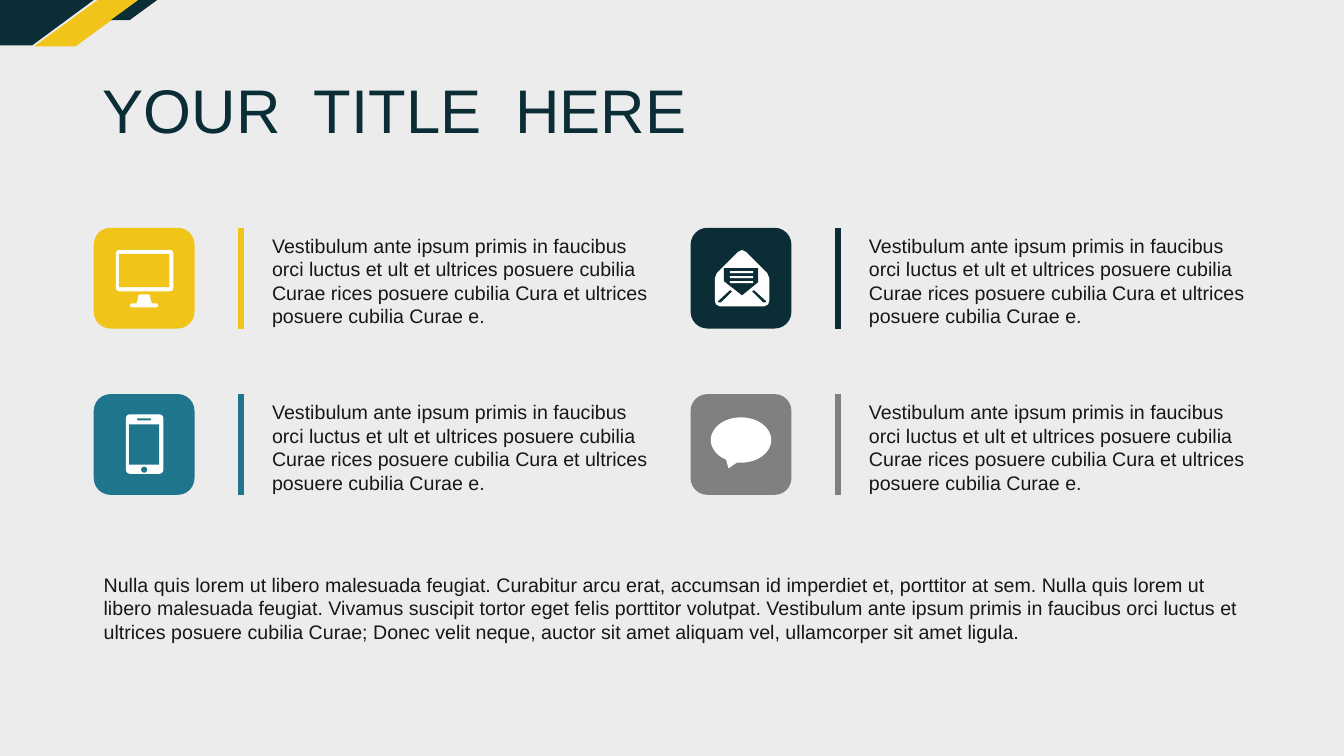
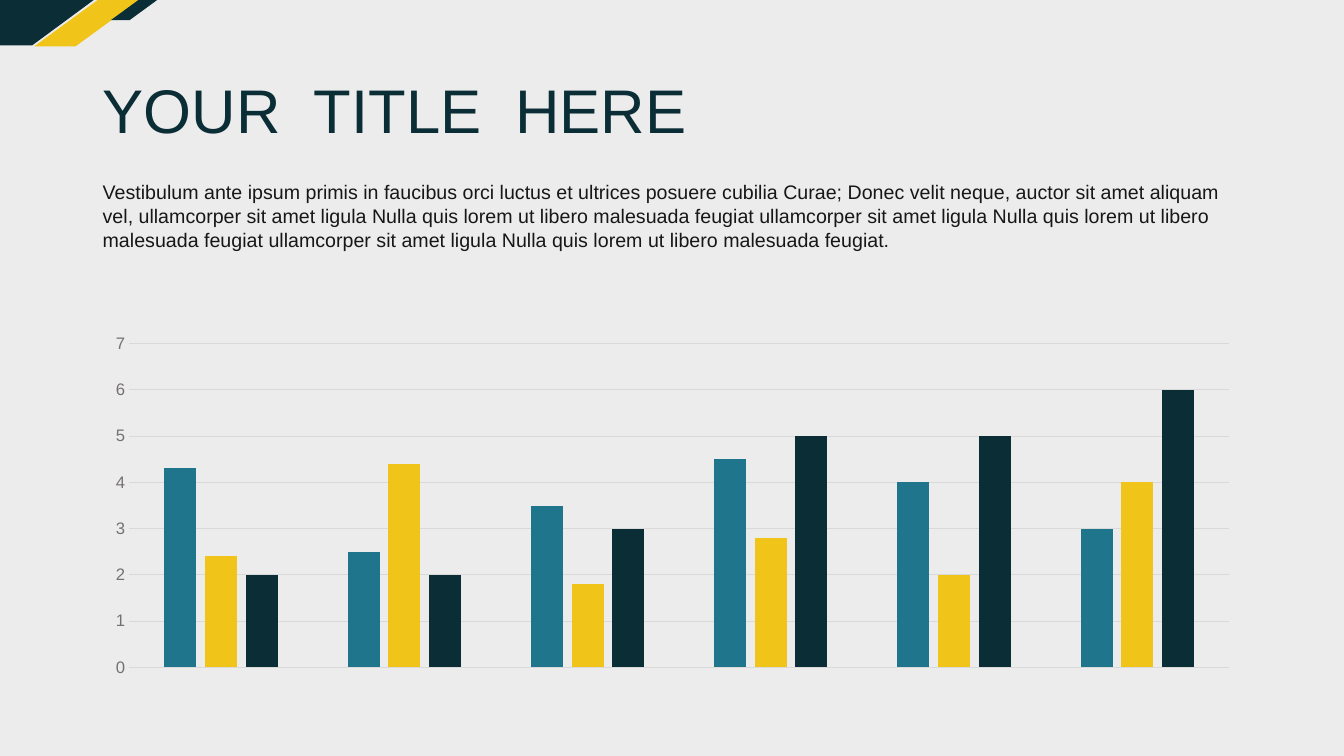
from pptx import Presentation
from pptx import util as u
from pptx.chart.data import CategoryChartData
from pptx.dml.color import RGBColor
from pptx.enum import chart as charts, shapes, text
from pptx.oxml.ns import qn
from lxml import etree

Inches, Pt = u.Inches, u.Pt
KIND = shapes.MSO_SHAPE
FONT = "Arial"
COLORS = {
    "background": "ECECEC",
    "navy": "0B2D36",
    "yellow": "F0C419",
    "teal": "1F758C",
    "gray": "808080",
    "white": "FFFFFF",
    "body": "181717",
    "axis": "767171",
    "grid": "D9D9D9",
}
RGB = {name: RGBColor.from_string(value) for name, value in COLORS.items()}


def add_solid(slide, outline, box, color, adjustment=None):
    """Add a borderless shape; outline is a preset, or a list of points offset by box."""
    if isinstance(outline, list):
        points = [(Inches(box[0] + x), Inches(box[1] + y)) for x, y in outline]
        builder = slide.shapes.build_freeform(*points[0])
        builder.add_line_segments(points[1:], close=True)
        shape = builder.convert_to_shape()
    else:
        shape = slide.shapes.add_shape(outline, *map(Inches, box))
    if adjustment is not None:
        shape.adjustments[0] = adjustment
    shape.shadow.inherit = False
    shape.fill.solid()
    shape.fill.fore_color.rgb = RGB[color]
    shape.line.fill.background()
    return shape


def write(shape, words, size, color):
    frame = shape.text_frame
    frame.word_wrap = True
    paragraph = frame.paragraphs[0]
    paragraph.alignment = text.PP_ALIGN.LEFT
    run = paragraph.add_run()
    run.text = words
    run.font.name, run.font.size = FONT, Pt(size)
    run.font.color.rgb = RGB[color]
    return frame


presentation = Presentation()
presentation.slide_width = Inches(13.33)
presentation.slide_height = Inches(7.5)
layout = presentation.slide_layouts[5]
fill = presentation.slide_master.background.fill
fill.solid()
fill.fore_color.rgb = RGB["background"]

icon_slide, chart_slide = [presentation.slides.add_slide(layout) for _ in range(2)]

# Corner bands: drawn once, then moved to the shared layout
for outline, box, color, slant in [
    (KIND.PARALLELOGRAM, (0.34, 0, 1.04, 0.46), "yellow", 1.37),
    (KIND.PARALLELOGRAM, (1.1, 0, 0.46, 0.2), "navy", 1.37),
    ([(0, 0), (0.93, 0), (0.32, 0.45), (0, 0.45)], (0, 0), "navy", None),
]:
    band = add_solid(icon_slide, outline, box, color, slant)
    layout.shapes.element.append(band.element)

# Titles and long paragraphs
for slide, top, words in [
    (icon_slide, 5.63,
     "Nulla quis lorem ut libero malesuada feugiat. Curabitur arcu erat, accumsan id "
     "imperdiet et, porttitor at sem. Nulla quis lorem ut libero malesuada feugiat. "
     "Vivamus suscipit tortor eget felis porttitor volutpat. Vestibulum ante ipsum primis "
     "in faucibus orci luctus et ultrices posuere cubilia Curae; Donec velit neque, auctor "
     "sit amet aliquam vel, ullamcorper sit amet ligula."),
    (chart_slide, 1.74,
     "Vestibulum ante ipsum primis in faucibus orci luctus et ultrices posuere cubilia "
     "Curae; Donec velit neque, auctor sit amet aliquam vel, ullamcorper sit amet ligula "
     "Nulla quis lorem ut libero malesuada feugiat ullamcorper sit amet ligula Nulla quis "
     "lorem ut libero malesuada feugiat ullamcorper sit amet ligula Nulla quis lorem ut "
     "libero malesuada feugiat."),
]:
    title = slide.shapes.title
    title.left, title.top = Inches(0.92), Inches(0.4)
    title.width, title.height = Inches(11.5), Inches(1.45)
    title_frame = write(title, "YOUR  TITLE  HERE", 44, "navy")
    title_frame.auto_size = text.MSO_AUTO_SIZE.NONE
    title_frame.vertical_anchor = text.MSO_ANCHOR.MIDDLE
    title_frame.paragraphs[0].line_spacing = 0.9
    left = 0.93 if slide is icon_slide else 0.92
    paragraph_box = slide.shapes.add_textbox(
        Inches(left), Inches(top), Inches(11.5), Inches(0.81))
    write(paragraph_box, words, 14, "body")

# Icon parts: outline, box inside the badge, color, corner rounding or slant
monitor = [
    (KIND.ROUNDED_RECTANGLE, (0.22, 0.22, 0.57, 0.41), "white", 0.08),
    (KIND.RECTANGLE, (0.25, 0.26, 0.5, 0.33), "yellow", None),
    (KIND.TRAPEZOID, (0.42, 0.66, 0.16, 0.11), "white", 0.25),
    (KIND.ROUNDED_RECTANGLE, (0.36, 0.75, 0.28, 0.04), "white", 0.5),
]
phone = [
    (KIND.ROUNDED_RECTANGLE, (0.32, 0.2, 0.37, 0.59), "white", 0.1),
    (KIND.RECTANGLE, (0.35, 0.3, 0.3, 0.4), "teal", None),
    (KIND.ROUNDED_RECTANGLE, (0.43, 0.24, 0.14, 0.02), "teal", 0.5),
    (KIND.OVAL, (0.47, 0.72, 0.06, 0.06), "teal", None),
]
envelope_outline = [
    (0.24, 0.5), (0.26, 0.45), (0.47, 0.24), (0.51, 0.22), (0.55, 0.24), (0.76, 0.45),
    (0.78, 0.5), (0.78, 0.72), (0.77, 0.76), (0.73, 0.78), (0.29, 0.78), (0.25, 0.76),
    (0.24, 0.72),
]
letter_outline = [(0.33, 0.4), (0.67, 0.4), (0.67, 0.54), (0.51, 0.67), (0.33, 0.53)]
left_fold = [(0.27, 0.73), (0.39, 0.62), (0.41, 0.63), (0.3, 0.74), (0.28, 0.74)]
right_fold = [(1.02 - x, y) for x, y in left_fold]
envelope = [
    (envelope_outline, (0, 0), "white", None),
    (letter_outline, (0, 0), "navy", None),
    (left_fold, (0, 0), "navy", None),
    (right_fold, (0, 0), "navy", None),
] + [
    (KIND.RECTANGLE, (0.39, 0.43 + 0.05 * row, 0.23, 0.02), "white", None)
    for row in range(3)
]
speech_bubble = [(KIND.OVAL_CALLOUT, (0.2, 0.23, 0.6, 0.45), "white", None)]

ITEM_TEXT = (
    "Vestibulum ante ipsum primis in faucibus orci luctus et ult et ultrices posuere cubilia "
    "Curae rices posuere cubilia Cura et ultrices posuere cubilia Curae e."
)
items = [("yellow", monitor), ("navy", envelope), ("teal", phone), ("gray", speech_bubble)]
for index, (color, icon) in enumerate(items):
    row, column = divmod(index, 2)
    left, top = 0.93 + 5.92 * column, 2.26 + 1.65 * row
    add_solid(icon_slide, KIND.ROUNDED_RECTANGLE, (left, top, 1, 1), color)
    for outline, box, part_color, adjustment in icon:
        part_box = (left + box[0], top + box[1], *box[2:])
        add_solid(icon_slide, outline, part_box, part_color, adjustment)

    divider_x = Inches(left + 1.46)
    divider = icon_slide.shapes.add_connector(
        shapes.MSO_CONNECTOR.STRAIGHT, divider_x, Inches(top), divider_x, Inches(top + 1))
    divider.line.color.rgb = RGB[color]
    divider.line.width = Pt(4.5)
    etree.SubElement(divider.element.spPr, qn("a:effectLst"))

    item_box = icon_slide.shapes.add_textbox(
        Inches(left + 1.67), Inches(top + 0.01), Inches(4.07), Inches(1.04))
    write(item_box, ITEM_TEXT, 14, "body")

# Column chart
series_list = [
    ("Series 1", (4.3, 2.5, 3.5, 4.5, 4, 3), "teal"),
    ("Series 2", (2.4, 4.4, 1.8, 2.8, 2, 4), "yellow"),
    ("Series 3", (2, 2, 3, 5, 5, 6), "navy"),
]
chart_data = CategoryChartData()
chart_data.categories = [str(number) for number in range(1, 7)]
for name, values, _ in series_list:
    chart_data.add_series(name, values)
chart = chart_slide.shapes.add_chart(
    charts.XL_CHART_TYPE.COLUMN_CLUSTERED,
    Inches(0.92), Inches(3.25), Inches(11.5), Inches(3.53), chart_data).chart
chart.has_legend = False
chart.has_title = False
chart.font.name, chart.font.size = FONT, Pt(10)

plot = chart.plots[0]
plot.gap_width, plot.overlap = 219, -27
plot.vary_by_categories = False
for series, (_, _, color) in zip(plot.series, series_list):
    series.format.fill.solid()
    series.format.fill.fore_color.rgb = RGB[color]

chart.category_axis.visible = False
axis = chart.value_axis
axis.minimum_scale, axis.maximum_scale, axis.major_unit = 0, 7, 1
axis.major_tick_mark = charts.XL_TICK_MARK.NONE
axis.format.line.fill.background()
axis.major_gridlines.format.line.color.rgb = RGB["grid"]
axis.major_gridlines.format.line.width = Pt(0.75)
axis_font = axis.tick_labels.font
axis_font.name, axis_font.size = FONT, Pt(11.9)
axis_font.color.rgb = RGB["axis"]

presentation.save("out.pptx")
